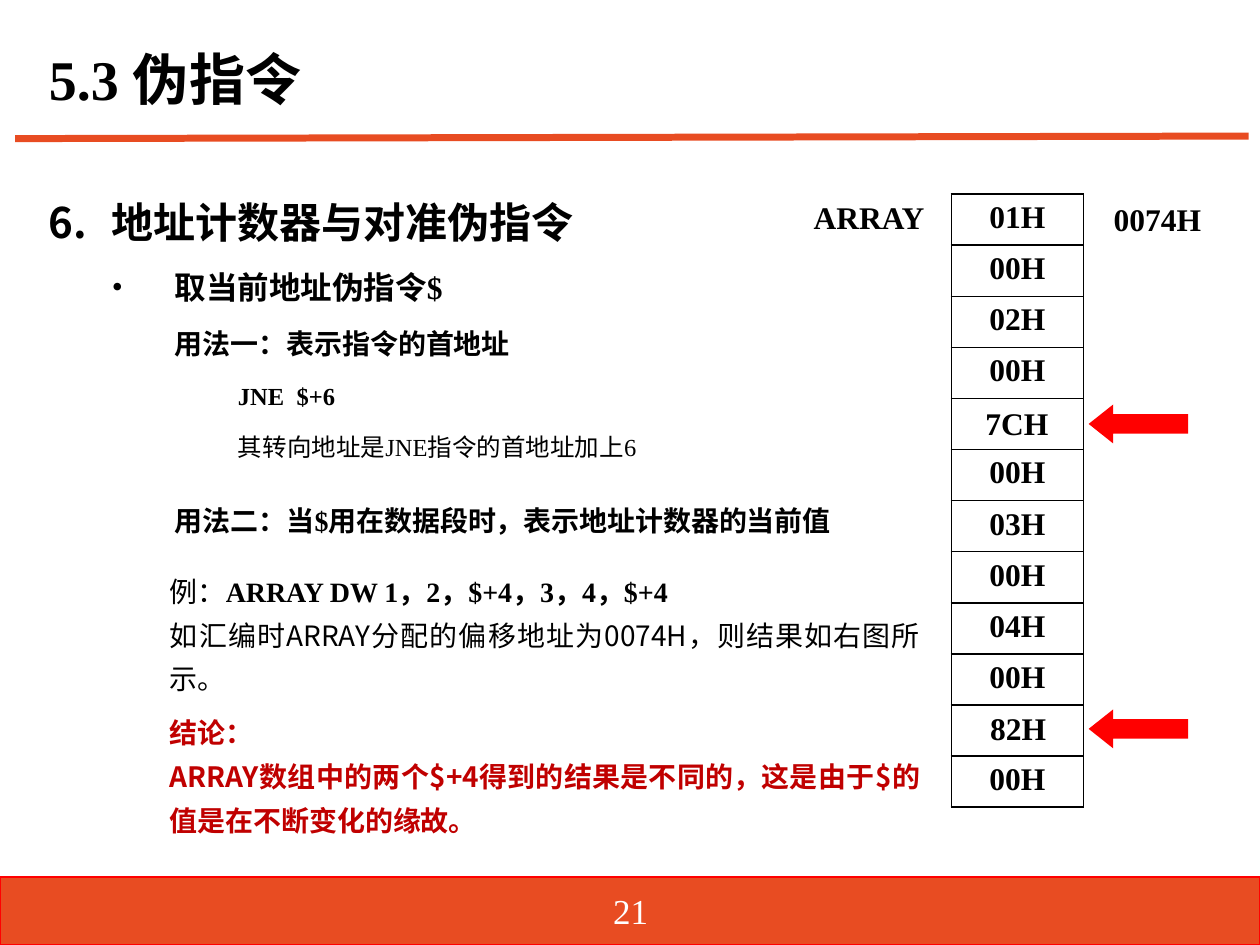
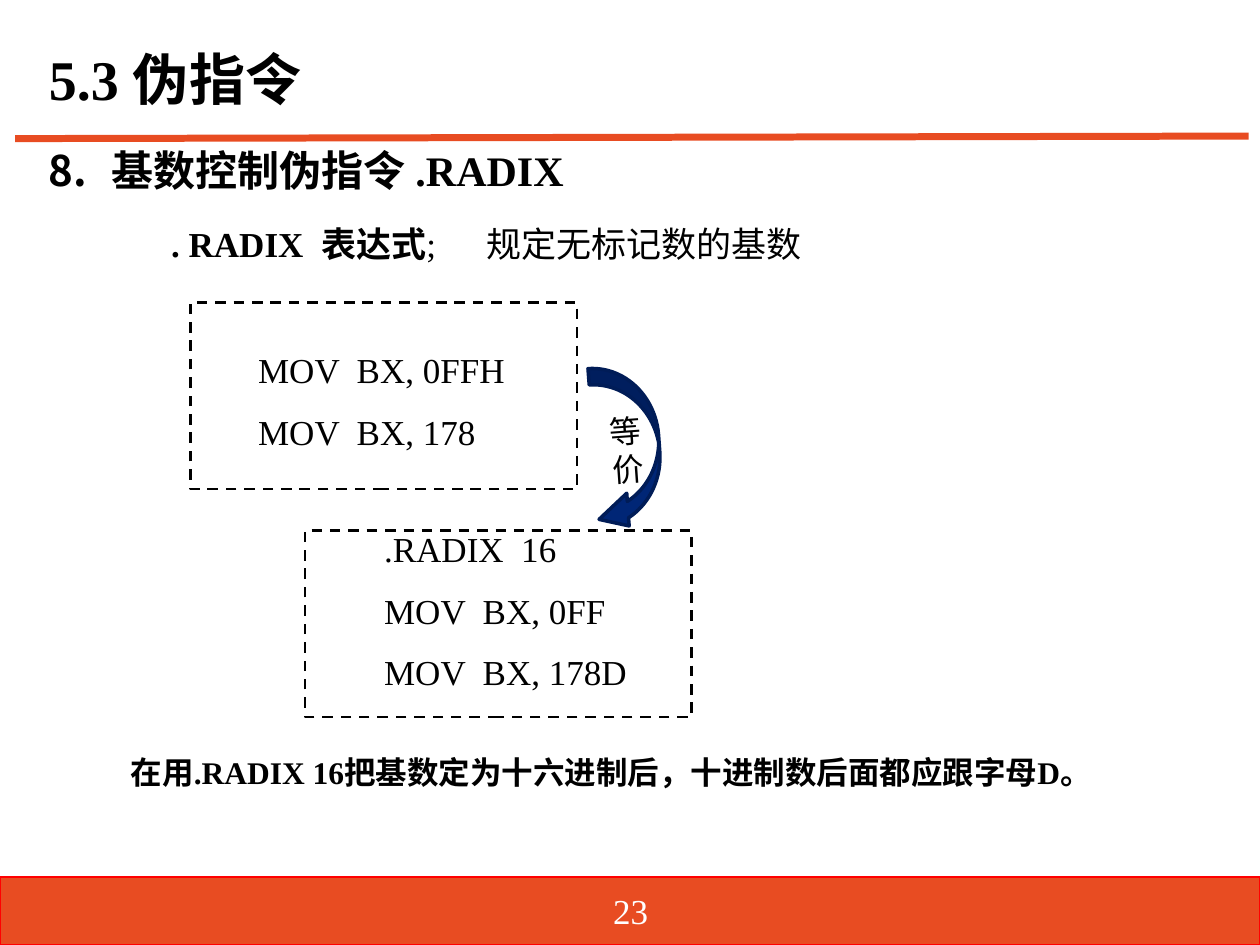
"""Builds two lesson slides on assembler pseudo-instructions."""
from dataclasses import dataclass
from typing import Optional

from lxml.etree import SubElement
from pptx import Presentation
from pptx.dml.color import RGBColor
from pptx.enum.dml import MSO_LINE
from pptx.enum.shapes import MSO_CONNECTOR, MSO_SHAPE as SHAPE
from pptx.enum.text import MSO_ANCHOR as ANCHOR, PP_ALIGN as ALIGN
from pptx.oxml.ns import qn
from pptx.util import Inches, Pt

BLACK = RGBColor(0x00, 0x00, 0x00)
WHITE = RGBColor(0xFF, 0xFF, 0xFF)
ORANGE = RGBColor(0xE8, 0x4C, 0x22)
RED = RGBColor(0xFF, 0x00, 0x00)
DARK_RED = RGBColor(0xC0, 0x00, 0x00)
BLUE = RGBColor(0x00, 0x26, 0x76)
NAVY = RGBColor(0x00, 0x1C, 0x57)
SERIF = "Times New Roman"
SANS = "Noto Sans CJK SC"
COLUMNS, ROWS, CELL = 100, 75, 0.1


def grid(*cells):
    return [Inches(cell * CELL) for cell in cells]


@dataclass
class Line:
    text: str
    size: float = 18
    bold: bool = True
    color: RGBColor = BLACK
    font: str = SERIF
    align: Optional[ALIGN] = None
    spacing: Optional[float] = None
    before: float = 0
    after: float = 0
    indent: float = 0
    hang: float = 0
    bullet: str = ""
    number: int = 0
    mark_font: str = SERIF
    tab: float = 0
    tail: Optional["Line"] = None


class LessonDeck:
    def __init__(self):
        self.deck = Presentation()
        self.deck.slide_width, self.deck.slide_height = grid(COLUMNS, ROWS)
        self.page = None

    def new_page(self, title, number):
        self.page = self.deck.slides.add_slide(self.deck.slide_layouts[6])
        self.shape(SHAPE.RECTANGLE, (0, 69.6, COLUMNS, 5.4), ORANGE, RED, 0)
        self.rule((1.2, 11), (99.1, 10.8), ORANGE, 4)
        self.text((2.9, 2.1, 94.4, 8.8), [Line(title, 32, spacing=0.9)], ANCHOR.MIDDLE)
        self.text((38.8, 70.3, 22.5, 4),
                  [Line(str(number), 20, False, WHITE, align=ALIGN.CENTER)], ANCHOR.MIDDLE)

    def rule(self, start, end, color, width):
        line = self.page.shapes.add_connector(MSO_CONNECTOR.STRAIGHT, *grid(*start, *end))
        line.line.color.rgb = color
        line.line.width = Pt(width)
        SubElement(line._element.spPr, qn("a:effectLst"))

    def shape(self, kind, area, fill=None, outline=None, width=1.0, dash=None, adjust=()):
        shape = self.page.shapes.add_shape(kind, *grid(*area))
        shape.shadow.inherit = False
        for index, value in enumerate(adjust):
            shape.adjustments[index] = value
        if fill is None:
            shape.fill.background()
        else:
            shape.fill.solid()
            shape.fill.fore_color.rgb = fill
        if outline is None:
            shape.line.fill.background()
        else:
            shape.line.color.rgb = outline
            shape.line.width = Pt(width)
            shape.line.dash_style = dash
        return shape

    def text(self, area, lines, anchor=ANCHOR.TOP):
        box = self.page.shapes.add_textbox(*grid(*area))
        box.text_frame.word_wrap = True
        box.text_frame.vertical_anchor = anchor
        self.fill_frame(box.text_frame, lines)

    def fill_frame(self, frame, lines):
        frame.text = "\n".join(line.text for line in lines)
        for para, line in zip(frame.paragraphs, lines):
            self.set_paragraph(para, line)
            self.set_span(para.runs[0], line)
            if line.tail:
                span = para.add_run()
                span.text = line.tail.text
                self.set_span(span, line.tail)

    def set_paragraph(self, para, line):
        para.alignment = line.align
        para.line_spacing = line.spacing
        para.space_before, para.space_after = Pt(line.before), Pt(line.after)
        props = para._p.get_or_add_pPr()
        left, first = grid(line.indent, -line.hang)
        props.set("marL", str(left))
        props.set("indent", str(first))
        if line.bullet or line.number:
            SubElement(props, qn("a:buFont"), typeface=line.mark_font)
        if line.bullet:
            SubElement(props, qn("a:buChar"), char=line.bullet)
        elif line.number:
            SubElement(props, qn("a:buAutoNum"), type="arabicPeriod", startAt=str(line.number))
        if line.tab:
            stops = SubElement(props, qn("a:tabLst"))
            SubElement(stops, qn("a:tab"), pos=str(grid(line.tab)[0]), algn="l")

    def set_span(self, span, line):
        span.font.size = Pt(line.size)
        span.font.bold = line.bold
        span.font.color.rgb = line.color
        span.font.name = line.font
        SubElement(span._r.get_or_add_rPr(), qn("a:ea"), typeface=SANS)

    def byte_table(self, area, values):
        table = self.page.shapes.add_table(len(values), 1, *grid(*area)).table
        table.first_row = table.horz_banding = False
        for row, value in zip(table.rows, values):
            row.height = grid(area[3] / len(values))[0]
            cell = row.cells[0]
            if value:
                self.fill_frame(cell.text_frame, [Line(value, align=ALIGN.CENTER)])
            for side in ("lnL", "lnR", "lnT", "lnB"):
                border = SubElement(cell._tc.get_or_add_tcPr(), qn(f"a:{side}"), w=str(Pt(1)))
                paint = SubElement(border, qn("a:solidFill"))
                SubElement(paint, qn("a:srgbClr"), val=str(BLACK))
            cell.fill.solid()
            cell.fill.fore_color.rgb = WHITE


def address_counter_page(lesson):
    lesson.new_page("5.3 伪指令", 21)
    gaps = {"before": 6, "after": 6}
    lesson.text((2.9, 15.1, 69.9, 47.5), [
        Line("地址计数器与对准伪指令", 24, after=6, indent=5, hang=5, number=6, mark_font=SANS),
        Line("取当前地址伪指令$", indent=10, hang=5, bullet="•", **gaps),
        Line("用法一：表示指令的首地址", 16, indent=10, **gaps),
        Line("JNE  $+6", 14, indent=15, **gaps),
        Line("其转向地址是JNE指令的首地址加上6", 14, False, indent=15, **gaps),
        Line("用法二：当$用在数据段时，表示地址计数器的当前值", 16, indent=10, before=18, after=6),
    ])
    example = {"size": 16, "font": SANS, "align": ALIGN.JUSTIFY, "spacing": 1.3}
    lesson.text((12.5, 44.3, 61.5, 18.9), [
        Line("例：", bold=False, tail=Line("ARRAY DW 1，2，$+4，3，4，$+4", 16), **example),
        Line("如汇编时ARRAY分配的偏移地址为0074H，则结果如右图所示。", bold=False, **example),
        Line("结论：", color=DARK_RED, before=6, **example),
        Line("ARRAY数组中的两个$+4得到的结果是不同的，这是由于$的值是在不断变化的缘故。",
             color=DARK_RED, **example),
    ])
    lesson.byte_table((75.5, 15.4, 10.5, 48.7),
                      ["01H", "00H", "02H", "00H", "", "00H",
                       "03H", "00H", "04H", "00H", "", "00H"])
    lesson.text((63.6, 15.2, 11.4, 4), [Line("ARRAY")])
    lesson.text((87.4, 15.4, 11.4, 4), [Line("0074H")])
    for value, left, top in (("7CH", 76.6, 31.6), ("82H", 76.7, 55.8)):
        lesson.text((left, top, 8.2, 4), [Line(value, align=ALIGN.CENTER)])
        lesson.shape(SHAPE.LEFT_ARROW, (86.4, top + 0.5, 7.9, 3.1), RED, adjust=(0.5, 0.63))


def radix_page(lesson):
    lesson.new_page("5.3 伪指令", 23)
    lesson.text((2.9, 11, 94.4, 56),
                [Line("基数控制伪指令 .RADIX", 24, indent=5, hang=5, number=8)])
    lesson.text((12.6, 17.2, 64.2, 4.4), [
        Line(". RADIX  表达式", 20, tab=25.8, tail=Line(";\t规定无标记数的基数", 20, False))])
    listings = (
        ((15.1, 24), (19.5, 27.2), ["MOV  BX, 0FFH", "MOV  BX, 178"]),
        ((24.2, 42.1), (29.5, 41.4), [".RADIX  16", "MOV  BX, 0FF", "MOV  BX, 178D"]),
    )
    for frame_corner, code_corner, code in listings:
        lesson.text((*code_corner, 30, 4.7 * len(code)), [
            Line(text, 20, False, before=11 if index else 0) for index, text in enumerate(code)])
        lesson.shape(SHAPE.RECTANGLE, (*frame_corner, 30.7, 14.8),
                     outline=BLACK, width=1.5, dash=MSO_LINE.DASH)
    arrow = lesson.shape(SHAPE.CURVED_DOWN_ARROW, (43.1, 33.1, 13.3, 5.2), BLUE, NAVY, 2,
                         adjust=(0.25, 0.5, 0.45))
    arrow.rotation = 85.8
    arrow.text_frame.vertical_anchor = ANCHOR.MIDDLE
    arrow.text_frame._txBody.bodyPr.set("vert", "vert270")
    lesson.fill_frame(arrow.text_frame,
                      [Line("等价", bold=False, font="DejaVu Sans", align=ALIGN.CENTER)])
    lesson.text((9.4, 59.3, 78.7, 4),
                [Line("在用.RADIX 16把基数定为十六进制后，十进制数后面都应跟字母D。")])


def main():
    lesson = LessonDeck()
    address_counter_page(lesson)
    radix_page(lesson)
    lesson.deck.save("out.pptx")


if __name__ == "__main__":
    main()
